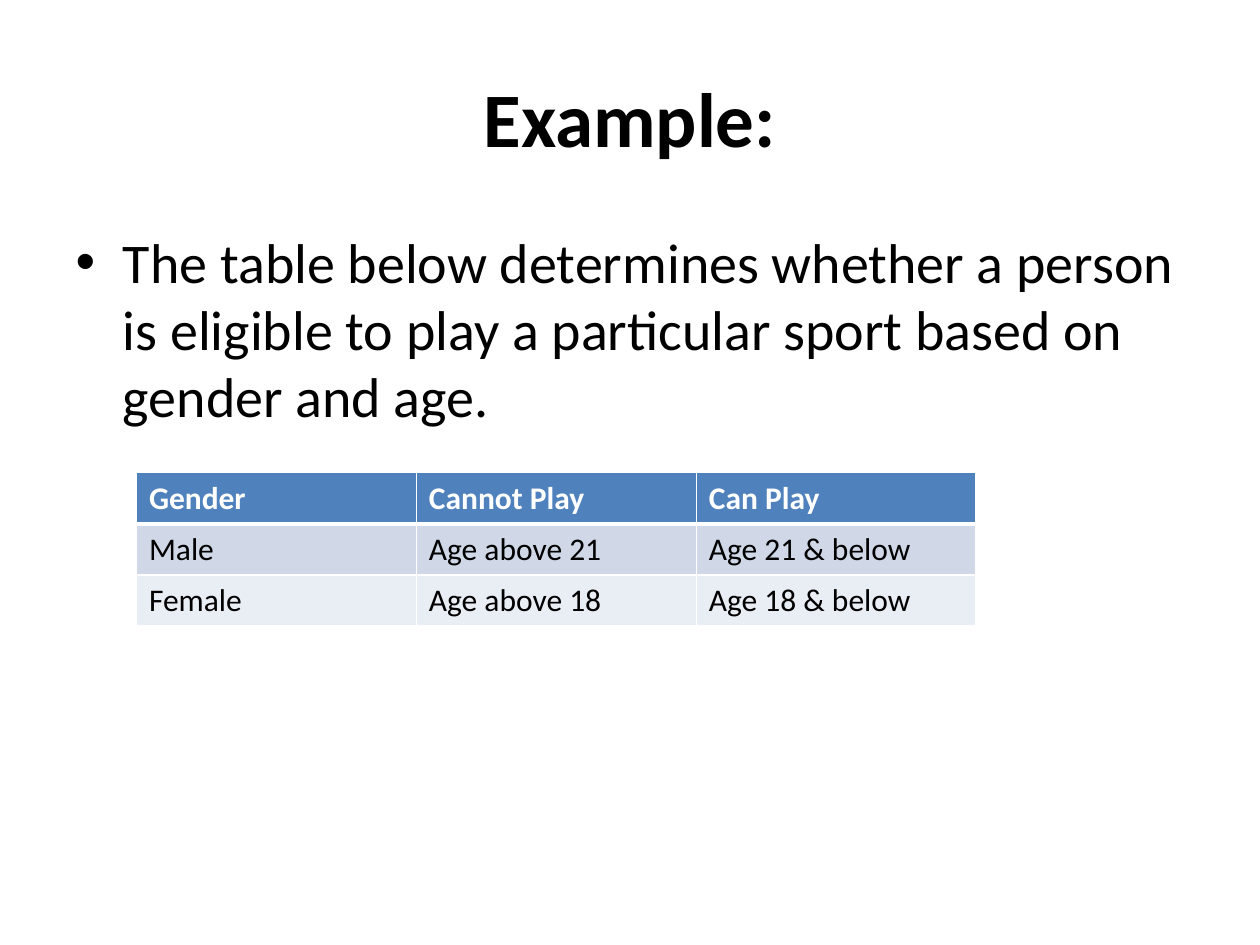
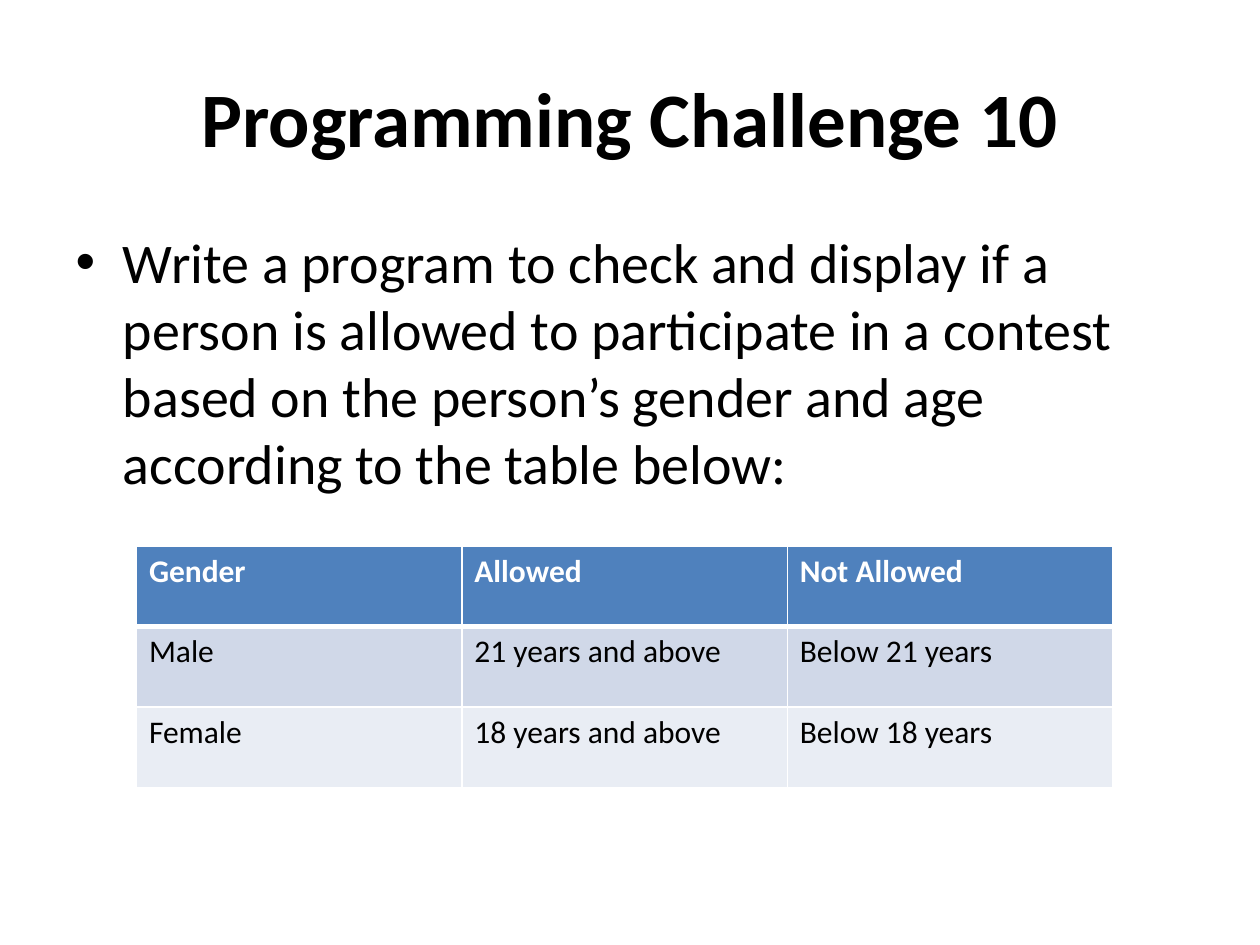
import pptx
import pptx.dml.color
import pptx.enum.text
import pptx.oxml
import pptx.oxml.ns
import pptx.util
from pptx.util import Cm

HUES = {"ink": "000000", "paper": "FFFFFF", "head": "4F81BD",
        "odd": "D0D8E8", "even": "E9EDF4"}
FACE = "Calibri"
LEFT, WIDTH = Cm(1.27), Cm(22.86)


class Deck:
    """Holds the shared style and the current slide."""

    def __init__(self):
        self.prs = pptx.Presentation()
        self.prs.slide_width, self.prs.slide_height = Cm(25.4), Cm(19.05)
        self.slide = None

    def add(self):
        self.slide = self.prs.slides.add_slide(self.prs.slide_layouts[1])

    def hue(self, name):
        return pptx.dml.color.RGBColor.from_string(HUES[name])

    def label(self, frame, text, size, hue="ink", bold=False):
        frame.text = text
        font = frame.paragraphs[0].font
        font.name, font.size, font.bold = FACE, pptx.util.Pt(size), bold
        font.color.rgb = self.hue(hue)

    def place(self, shape, top, height):
        shape.left, shape.top, shape.width, shape.height = LEFT, top, WIDTH, height
        shape.text_frame.auto_size = pptx.enum.text.MSO_AUTO_SIZE.NONE

    def title(self, text):
        shape = self.slide.shapes.title
        self.place(shape, Cm(0.76), Cm(3.18))
        self.label(shape.text_frame, text, 44, bold=True)
        shape.text_frame.vertical_anchor = pptx.enum.text.MSO_ANCHOR.MIDDLE
        shape.text_frame.paragraphs[0].alignment = pptx.enum.text.PP_ALIGN.CENTER

    def body(self, text):
        shape = self.slide.placeholders[1]
        self.place(shape, Cm(4.45), Cm(12.57))
        self.label(shape.text_frame, text, 32)

    def edge(self, cell, side, width):
        space = pptx.oxml.ns.nsdecls("a")
        line = pptx.oxml.parse_xml(
            f'<a:{side} {space} w="{pptx.util.Pt(width)}"><a:solidFill>'
            f'<a:srgbClr val="{HUES["paper"]}"/></a:solidFill></a:{side}>')
        cell._tc.get_or_add_tcPr().append(line)

    def cell(self, cell, text, row):
        head = row == 0
        widths = {"lnL": 1, "lnR": 1, "lnT": 3 if row == 1 else 1,
                  "lnB": 3 if head else 1}
        for side, width in widths.items():
            self.edge(cell, side, width)
        cell.fill.solid()
        cell.fill.fore_color.rgb = self.hue(
            "head" if head else "odd" if row % 2 else "even")
        self.label(cell.text_frame, text, 18, "paper" if head else "ink", head)

    def table(self, rows, top, width, height):
        grid = self.slide.shapes.add_table(
            len(rows), len(rows[0]), Cm(2.75), top, width, height).table
        for r, row in enumerate(rows):
            for c, text in enumerate(row):
                self.cell(grid.cell(r, c), text, r)

    def save(self):
        self.prs.save("out.pptx")


def main():
    deck = Deck()

    deck.add()
    deck.title("Example:")
    deck.body("The table below determines whether a person is eligible "
              "to play a particular sport based on gender and age.")
    deck.table([["Gender", "Cannot Play", "Can Play"],
                ["Male", "Age above 21", "Age 21 & below"],
                ["Female", "Age above 18", "Age 18 & below"]],
               Cm(9.53), Cm(16.93), Cm(3.09))

    deck.add()
    deck.title("Programming Challenge 10")
    deck.body("Write a program to check and display if a person is allowed "
              "to participate in a contest based on the person’s gender "
              "and age according to the table below:")
    deck.table([["Gender", "Allowed", "Not Allowed"],
                ["Male", "21 years and above", "Below 21 years"],
                ["Female", "18 years and above", "Below 18 years"]],
               Cm(11.01), Cm(19.68), Cm(4.87))

    deck.save()


if __name__ == "__main__":
    main()
